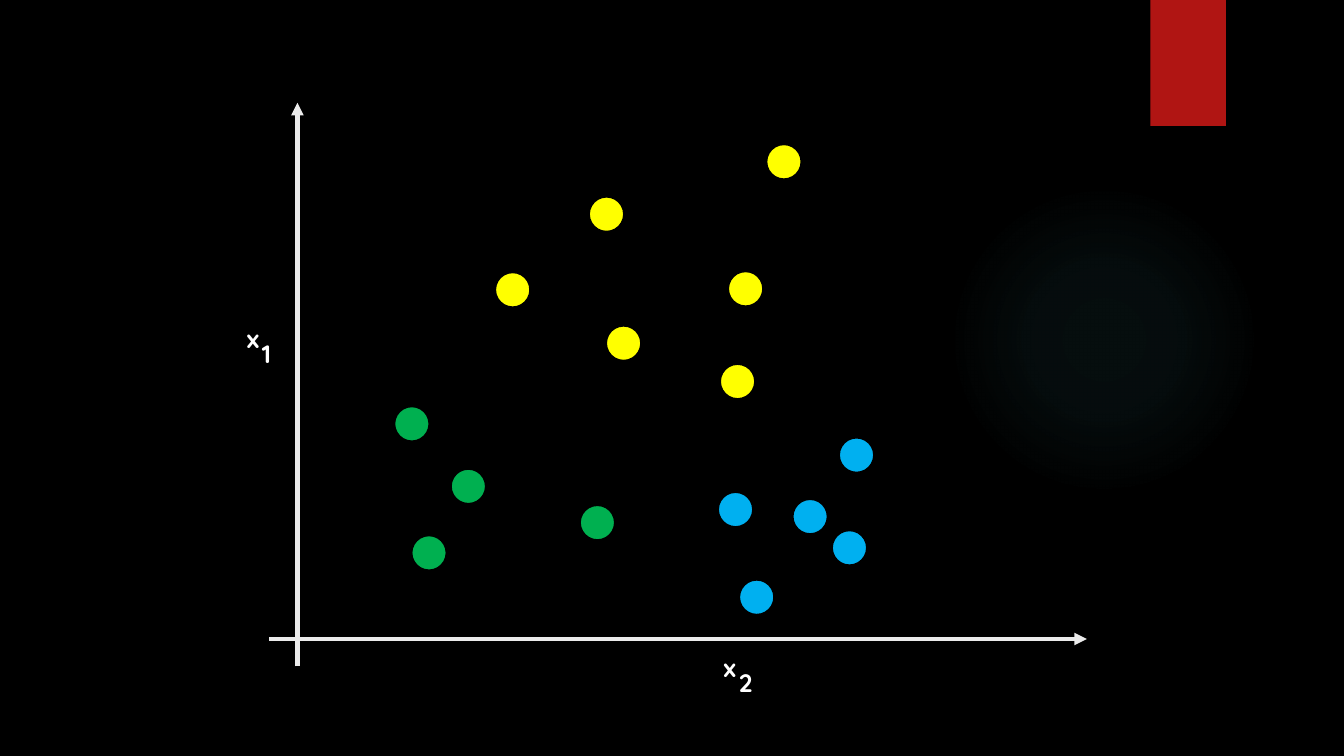
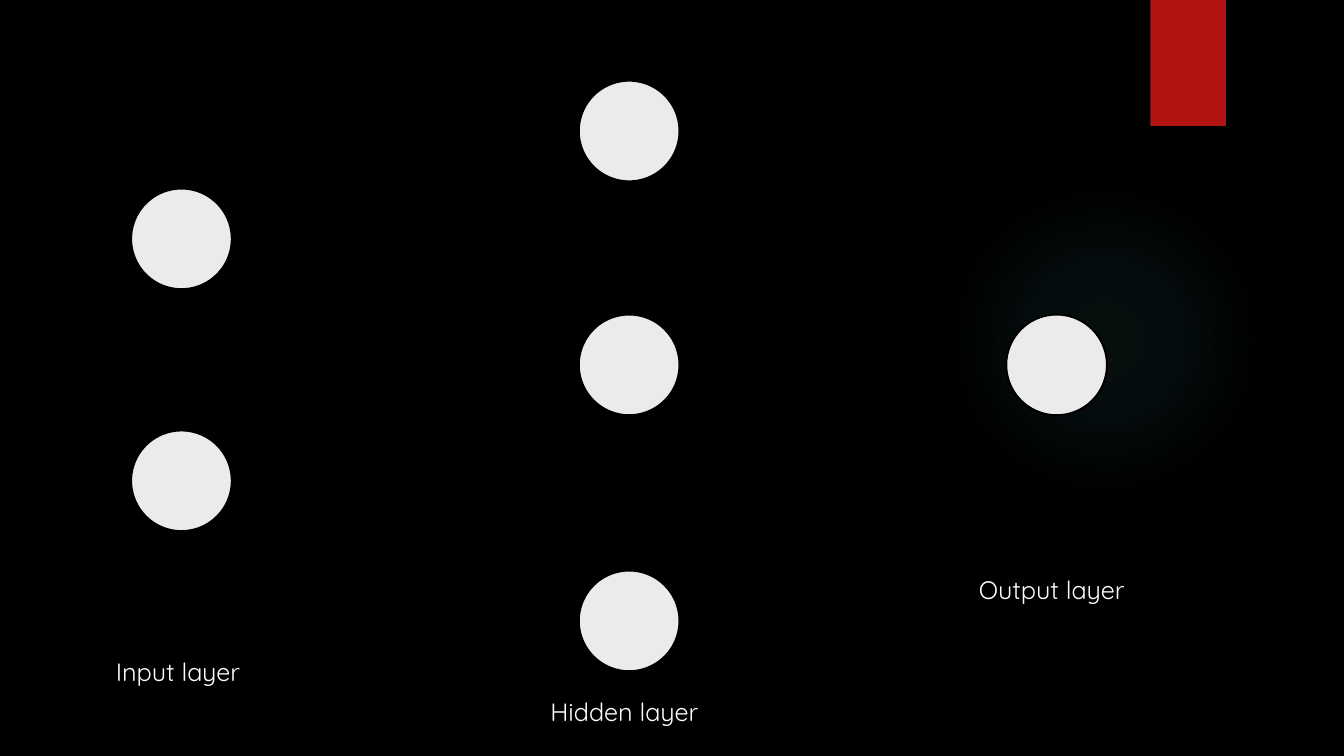
from lxml.etree import SubElement
from pptx import Presentation
from pptx.dml.color import RGBColor
from pptx.enum.shapes import MSO_CONNECTOR, MSO_SHAPE
from pptx.enum.text import MSO_AUTO_SIZE
from pptx.oxml import parse_xml
from pptx.oxml.ns import nsdecls, qn
from pptx.util import Inches, Pt

BLACK = RGBColor(0x00, 0x00, 0x00)
WHITE = RGBColor(0xFF, 0xFF, 0xFF)
PALE = RGBColor(0xEB, 0xEB, 0xEB)
RED = RGBColor(0xB0, 0x15, 0x13)
GLOW = RGBColor(0x50, 0xB9, 0xC1)
GREEN = RGBColor(0x00, 0xB0, 0x50)
YELLOW = RGBColor(0xFF, 0xFF, 0x00)
BLUE = RGBColor(0x00, 0xB0, 0xF0)
FONT = "Quicksand"

DOT = 0.35
NODE = 1
SHIFT = 0.15  # offset of an index from its letter

# Left and top of each dot, by class
CLUSTERS = {
    GREEN: [(3.91, 4.03), (4.08, 5.31), (4.47, 4.65), (5.75, 5.01)],
    YELLOW: [(5.84, 1.95), (6.01, 3.23), (7.14, 3.61), (7.22, 2.69),
             (7.6, 1.43), (4.91, 2.7)],
    BLUE: [(7.12, 4.88), (8.25, 5.26), (8.32, 4.34), (7.33, 5.75),
           (7.86, 4.95)],
}

# Node left, node tops, label, label left, label top, label width
LAYERS = [
    (1.3, [1.87, 4.27], "Input layer", 1.05, 6.46, 1.49),
    (5.74, [0.8, 3.12, 5.66], "Hidden layer", 5.36, 6.86, 1.76),
    (9.98, [3.12], "Output layer", 9.61, 5.65, 1.74),
]


def add_form(slide, kind, left, top, width, height, fill, line=None):
    form = slide.shapes.add_shape(
        kind, Inches(left), Inches(top), Inches(width), Inches(height))
    form.shadow.inherit = False
    form.fill.solid()
    form.fill.fore_color.rgb = fill
    if line is None:
        form.line.fill.background()
    else:
        form.line.color.rgb = line
        form.line.width = Pt(1.5)
    return form


def add_disc(slide, left, top, size, fill, line=BLACK):
    return add_form(slide, MSO_SHAPE.OVAL, left, top, size, size, fill, line)


def add_glow(slide):
    """Add a disc that fades out from its centre."""
    disc = add_disc(slide, 9.41, 1.83, 3.08, GLOW, line=None)
    stops = "".join(
        f'<a:gs pos="{pos * 1000}"><a:srgbClr val="{GLOW}">'
        f'<a:alpha val="{alpha * 1000}"/></a:srgbClr></a:gs>'
        for pos, alpha in [(0, 7), (36, 6), (69, 0)])
    fade = parse_xml(
        f'<a:gradFill {nsdecls("a")} rotWithShape="1"><a:gsLst>{stops}</a:gsLst>'
        '<a:path path="circle">'
        '<a:fillToRect l="50000" t="50000" r="50000" b="50000"/>'
        '</a:path></a:gradFill>')
    props = disc.element.spPr
    props.replace(props.find(qn("a:solidFill")), fade)


def add_text(slide, text, left, top, width, size=18, bold=False,
             color=WHITE, font=FONT):
    box = slide.shapes.add_textbox(
        Inches(left), Inches(top), Inches(width), Inches(0.4))
    frame = box.text_frame
    frame.word_wrap = False
    frame.auto_size = MSO_AUTO_SIZE.SHAPE_TO_FIT_TEXT
    run = frame.paragraphs[0].add_run()
    run.text = text
    run.font.name = font
    run.font.size = Pt(size)
    run.font.bold = bold
    run.font.color.rgb = color


def add_axis(slide, start, end):
    axis = slide.shapes.add_connector(
        MSO_CONNECTOR.STRAIGHT, *map(Inches, start + end))
    axis.line.color.rgb = PALE
    axis.line.width = Pt(3)
    SubElement(axis.line._get_or_add_ln(), qn("a:tailEnd"), type="triangle")
    SubElement(axis.element.spPr, qn("a:effectLst"))


def add_name(slide, index, left, top):
    """Add the letter x with a lowered index."""
    for step, text in enumerate(["x", index]):
        add_text(slide, text, left + step * SHIFT, top + step * SHIFT,
                 0.34, bold=True)


def add_slide(deck):
    slide = deck.slides.add_slide(deck.slide_layouts.get_by_name("Blank"))
    add_glow(slide)
    add_form(slide, MSO_SHAPE.RECTANGLE, 11.41, 0, 0.75, 1.25, RED)
    return slide


def draw_plot(slide):
    add_axis(slide, (2.95, 6.61), (2.95, 1.02))
    add_axis(slide, (2.67, 6.34), (10.78, 6.34))
    for color, dots in CLUSTERS.items():
        for left, top in dots:
            add_disc(slide, left, top, DOT, color)
    add_name(slide, "1", 2.35, 3.16)
    add_name(slide, "2", 7.08, 6.42)


def draw_net(slide):
    for left, tops, label, *place in LAYERS:
        for top in tops:
            add_disc(slide, left, top, NODE, PALE)
        add_text(slide, label, *place)


def main():
    deck = Presentation()
    deck.slide_width, deck.slide_height = Inches(13.33), Inches(7.5)
    back = deck.slide_master.background.fill
    back.solid()
    back.fore_color.rgb = BLACK
    for draw in (draw_plot, draw_net):
        draw(add_slide(deck))
    deck.save("out.pptx")


if __name__ == "__main__":
    main()
